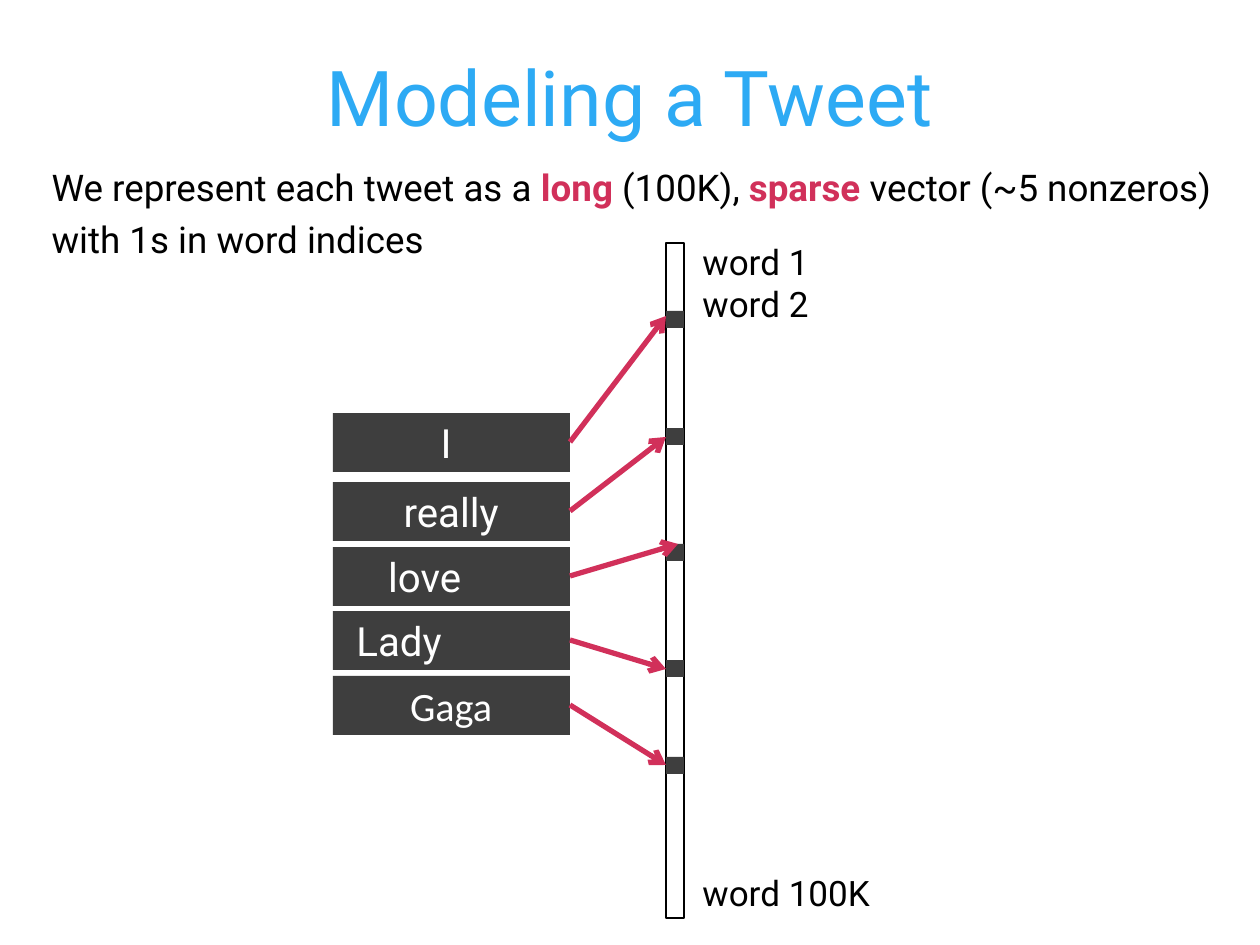
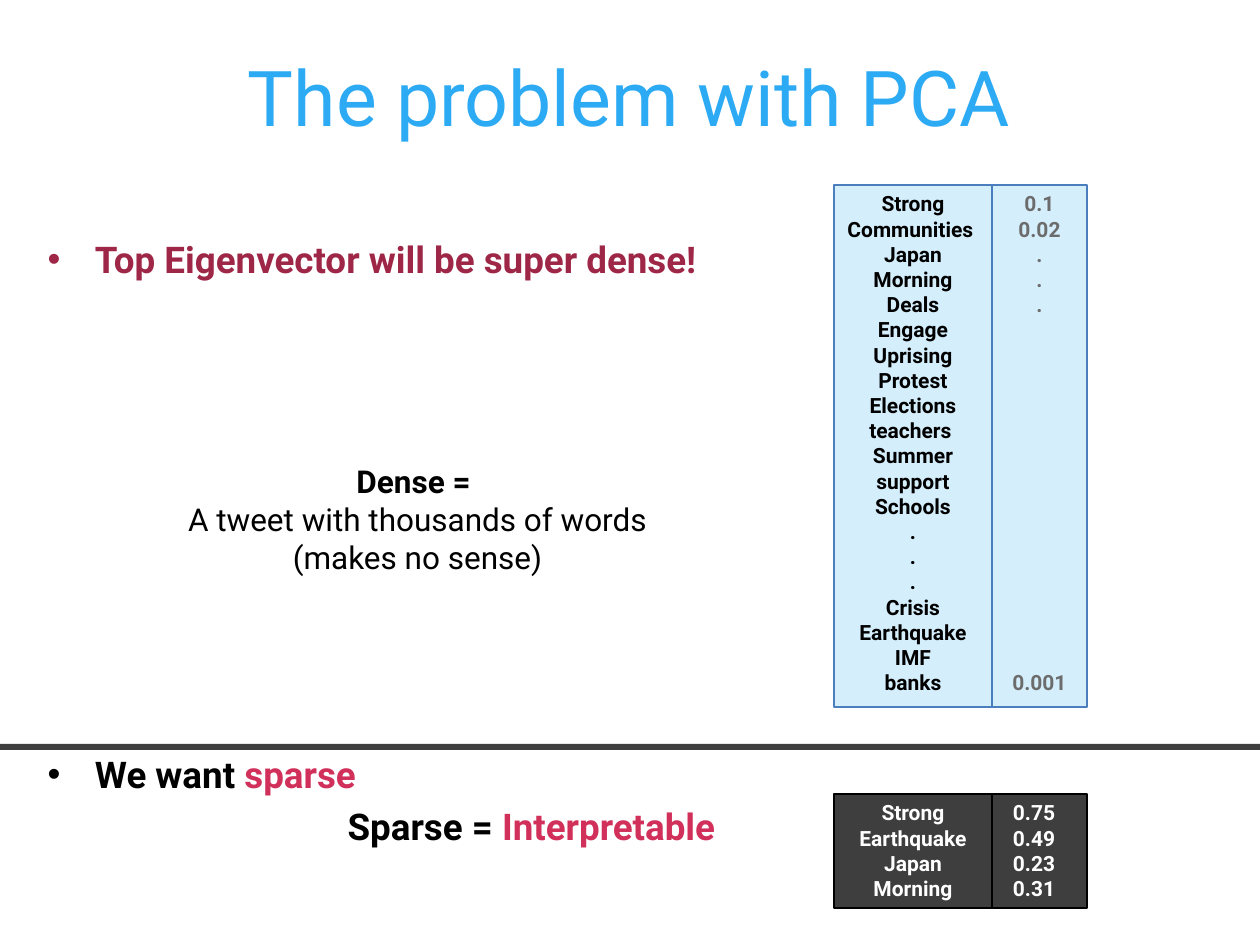
from dataclasses import dataclass
from typing import NamedTuple, Optional

from lxml import etree
from pptx import Presentation
from pptx import util as u
from pptx.dml.color import RGBColor
from pptx.enum import shapes, text
from pptx.oxml import ns

# Shared scale, fonts and colours
PX_PER_INCH = 126
FONT = "Roboto"
BLUE = RGBColor(0x2D, 0xAA, 0xF4)
STEEL = RGBColor(0x4B, 0x7E, 0xBC)
PINK = RGBColor(0xD1, 0x30, 0x5A)
WINE = RGBColor(0x9E, 0x26, 0x46)
DARK = RGBColor(0x3E, 0x3E, 0x3E)
GREY = RGBColor(0x6C, 0x6C, 0x6C)
BLACK = RGBColor(0, 0, 0)
WHITE = RGBColor(0xFF, 0xFF, 0xFF)
LEFT, CENTER = text.PP_ALIGN.LEFT, text.PP_ALIGN.CENTER
TOP, MIDDLE = text.MSO_ANCHOR.TOP, text.MSO_ANCHOR.MIDDLE


def px(length: int) -> u.Emu:
    return u.Emu(round(length * 914400 / PX_PER_INCH))


class Box(NamedTuple):
    left: int
    top: int
    width: int
    height: int

    def emu(self) -> list:
        return [px(length) for length in self]


class Run(NamedTuple):
    text: str
    color: RGBColor = BLACK
    bold: bool = False
    font: str = FONT


@dataclass
class Line:
    runs: list[Run]
    gap: Optional[int] = None
    indent: Optional[int] = None
    bullet: bool = True


@dataclass
class Word:
    text: str
    top: int
    cell_top: int
    tip_x: int
    tip_y: int
    shift: int = 0
    font: str = FONT


@dataclass
class Column:
    box: Box
    lines: list[Line]
    fill: RGBColor
    border: RGBColor
    opacity: int = 100


# Text helpers
def write(shape, lines: list[Line], size: int, align=LEFT, anchor=TOP, top_inset: int = 6) -> None:
    frame = shape.text_frame
    frame.auto_size = text.MSO_AUTO_SIZE.NONE
    frame.vertical_anchor = anchor
    frame.margin_top = px(top_inset)
    for number, line in enumerate(lines):
        paragraph = frame.add_paragraph() if number else frame.paragraphs[0]
        paragraph.alignment = align
        if line.gap is not None:
            paragraph.space_before = px(line.gap)
        properties = paragraph._p.get_or_add_pPr()
        if line.indent is not None:
            properties.set("marL", str(px(line.indent)))
            properties.set("indent", "0")
        if not line.bullet:
            etree.SubElement(properties, ns.qn("a:buNone"))
        for item in line.runs:
            run = paragraph.add_run()
            run.text = item.text
            run.font.size = u.Pt(size)
            run.font.name = item.font
            run.font.bold = item.bold
            run.font.color.rgb = item.color


def plain_lines(words: list[str], color: RGBColor, bold: bool = True) -> list[Line]:
    return [Line([Run(word, color, bold)]) for word in words]


# Shape helpers
def add_rectangle(slide, box: Box, fill: RGBColor, border: Optional[RGBColor] = None, opacity: int = 100):
    shape = slide.shapes.add_shape(shapes.MSO_SHAPE.RECTANGLE, *box.emu())
    shape.shadow.inherit = False
    shape.fill.solid()
    shape.fill.fore_color.rgb = fill
    if opacity < 100:
        color = shape._element.spPr.find(".//" + ns.qn("a:srgbClr"))
        etree.SubElement(color, ns.qn("a:alpha")).set("val", str(opacity * 1000))
    if border is None:
        shape.line.fill.background()
    else:
        shape.line.color.rgb = border
        shape.line.width = u.Pt(0.75)
    return shape


def add_arrow(slide, start: tuple[int, int], end: tuple[int, int]) -> None:
    points = [px(value) for value in (*start, *end)]
    arrow = slide.shapes.add_connector(shapes.MSO_CONNECTOR.STRAIGHT, *points)
    arrow.line.color.rgb = PINK
    arrow.line.width = u.Pt(3)
    etree.SubElement(arrow.line._get_or_add_ln(), ns.qn("a:tailEnd")).set("type", "arrow")
    etree.SubElement(arrow._element.spPr, ns.qn("a:effectLst"))


def add_text(slide, box: Box, lines: list[Line], size: int, align=LEFT) -> None:
    write(slide.shapes.add_textbox(*box.emu()), lines, size, align)


def add_column(slide, column: Column) -> None:
    shape = add_rectangle(slide, column.box, column.fill, column.border, column.opacity)
    shape.text_frame.word_wrap = True
    write(shape, column.lines, 12, CENTER)


def place(shape, box: Box) -> None:
    shape.left, shape.top, shape.width, shape.height = box.emu()


def add_slide(presentation, title: str, title_box: Box, body: list[Line], body_box: Box, body_inset: int = 6):
    slide = presentation.slides.add_slide(presentation.slide_layouts[1])
    place(slide.shapes.title, title_box)
    write(slide.shapes.title, [Line([Run(title, BLUE)])], 44, CENTER, top_inset=11)
    content = slide.placeholders[1]
    place(content, body_box)
    write(content, body, 21, top_inset=body_inset)
    return slide


# Slide 1: words pointing into a sparse vector
WORDS = [
    Word("I ", 413, 311, 666, 316),
    Word("really", 482, 428, 666, 437),
    Word("love", 547, 544, 678, 544, shift=53),
    Word("Lady", 611, 660, 666, 669, shift=104),
    Word("Gaga", 676, 757, 666, 765, font="Calibri"),
]
WORD_LEFT, WORD_WIDTH, WORD_HEIGHT = 333, 237, 59
VECTOR = Box(666, 243, 18, 675)


def build_tweet_slide(presentation) -> None:
    body = [
        Line([
            Run("We represent each tweet as a "),
            Run("long", PINK, True),
            Run(" (100K), "),
            Run("sparse ", PINK, True),
            Run("vector (~5 nonzeros)"),
        ], gap=0, bullet=False),
        Line([Run("with 1s in word indices")], bullet=False),
    ]
    slide = add_slide(presentation, "Modeling a Tweet", Box(63, 38, 1134, 157),
                      body, Box(39, 159, 1190, 519))
    add_rectangle(slide, VECTOR, WHITE, BLACK, 50)
    for word in WORDS:
        add_rectangle(slide, Box(VECTOR.left, word.cell_top, VECTOR.width, 17), DARK)
    labels = plain_lines(["word 1", "word 2", "word 100K"], BLACK, bold=False)
    labels[-1].gap = 546
    add_text(slide, Box(690, 235, 218, 692), labels, 20)
    for word in WORDS:
        block = add_rectangle(slide, Box(WORD_LEFT, word.top, WORD_WIDTH, WORD_HEIGHT), DARK)
        block.text_frame.margin_right = px(13 + word.shift)
        write(block, [Line([Run(word.text, WHITE, font=word.font)])], 23, CENTER, MIDDLE)
        start = (WORD_LEFT + WORD_WIDTH, word.top + WORD_HEIGHT // 2)
        add_arrow(slide, start, (word.tip_x, word.tip_y))


# Slide 2: dense eigenvector above, sparse one below
DENSE_WORDS = [
    "Strong", "Communities ", "Japan", "Morning", "Deals", "Engage", "Uprising",
    "Protest", "Elections", "teachers ", "Summer", "support", "Schools",
    ".", ".", ".", "Crisis", "Earthquake", "IMF", "banks",
]
DENSE_VALUES = ["0.1", "0.02", ".", ".", ".", "0.001"]
SPARSE_WORDS = ["Strong", "Earthquake", "Japan", "Morning"]
SPARSE_VALUES = ["0.75", "0.49", "0.23", "0.31"]


def build_pca_slide(presentation) -> None:
    body = [
        Line([Run("Top Eigenvector will be super dense!", WINE, True)], gap=0),
        Line([Run("We want ", BLACK, True), Run("sparse", PINK, True)], gap=471),
        Line([Run("Sparse = ", BLACK, True), Run("Interpretable", PINK, True)],
             indent=300, bullet=False),
    ]
    slide = add_slide(presentation, "The problem with PCA", Box(19, 38, 1221, 157),
                      body, Box(35, 179, 1182, 519), body_inset=58)
    explanation = [
        Line([Run("Dense = ", bold=True)]),
        *plain_lines(["A tweet with thousands of words", "(makes no sense)"], BLACK, bold=False),
    ]
    add_text(slide, Box(175, 456, 485, 165), explanation, 18, CENTER)

    dense_values = plain_lines(DENSE_VALUES, GREY)
    dense_values[-1].gap = 353
    columns = [
        Column(Box(834, 185, 158, 522), plain_lines(DENSE_WORDS, BLACK), BLUE, STEEL, 20),
        Column(Box(992, 185, 95, 522), dense_values, BLUE, STEEL, 20),
        Column(Box(981, 794, 106, 114), plain_lines(SPARSE_VALUES, WHITE), DARK, BLACK),
        Column(Box(834, 794, 158, 114), plain_lines(SPARSE_WORDS, WHITE), DARK, BLACK),
    ]
    for column in columns:
        add_column(slide, column)
    add_rectangle(slide, Box(0, 744, 1260, 6), DARK)


def main() -> None:
    presentation = Presentation()
    presentation.slide_width, presentation.slide_height = px(1260), px(945)
    build_tweet_slide(presentation)
    build_pca_slide(presentation)
    presentation.save("out.pptx")


if __name__ == "__main__":
    main()
